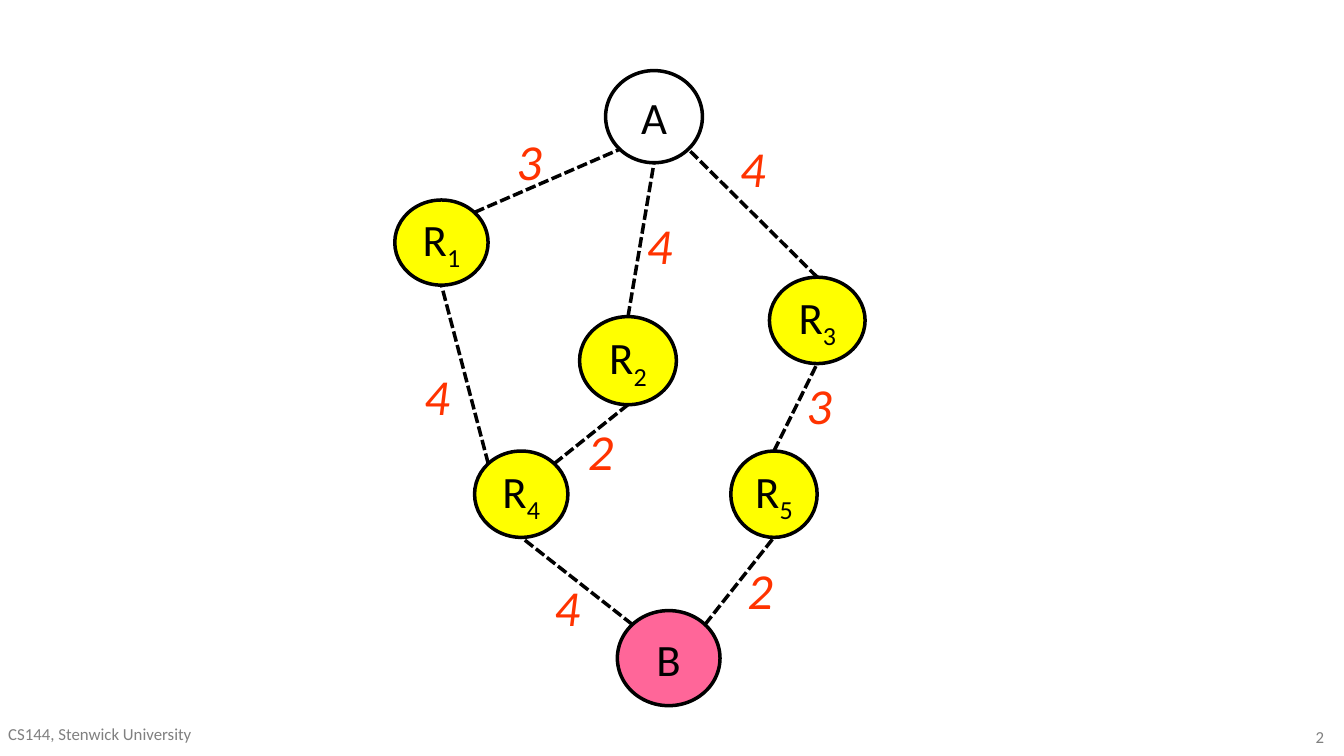
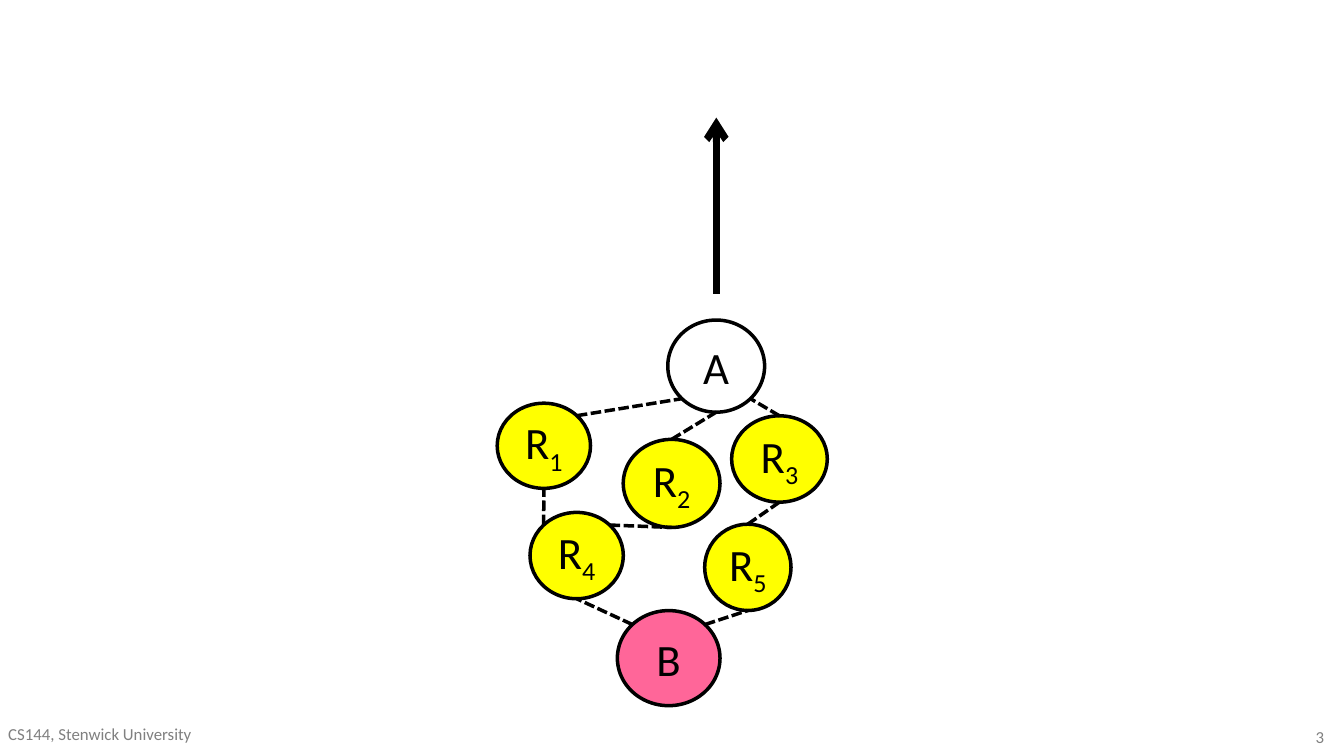
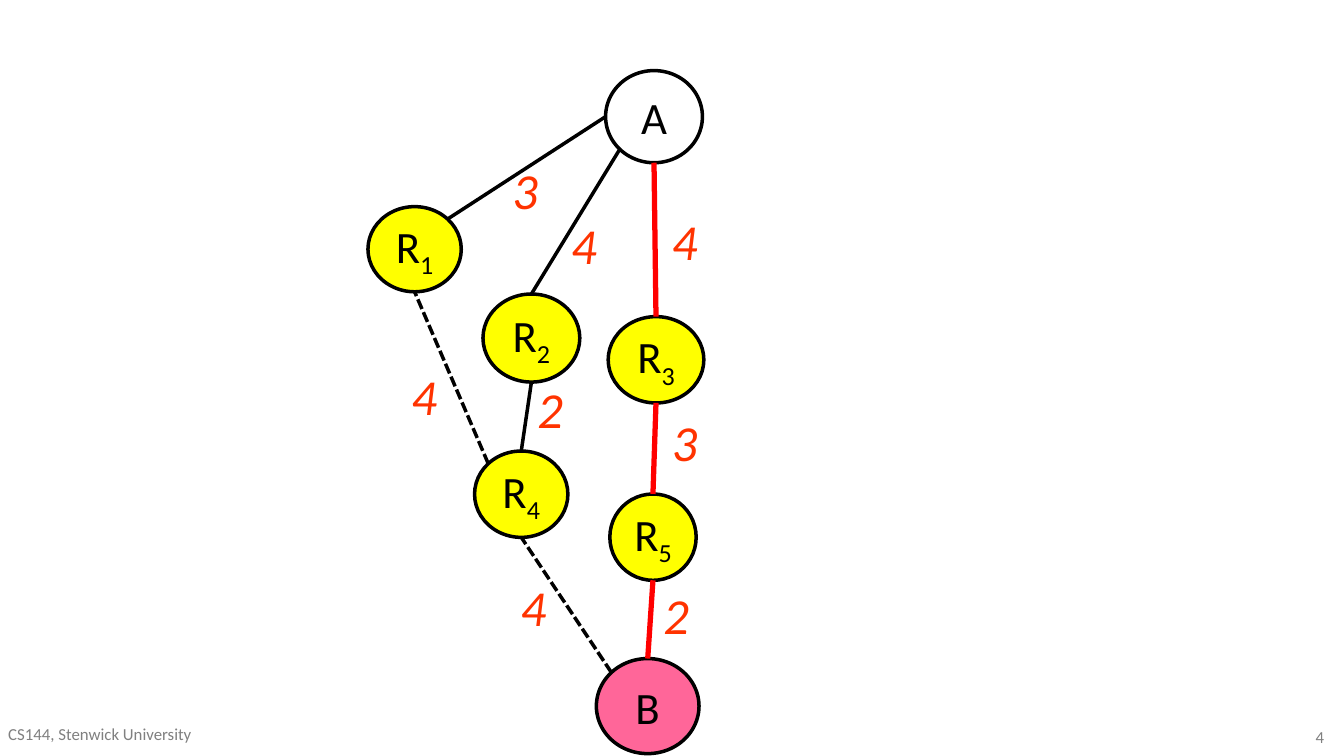
"""Build three slides on a router graph and its shortest path tree."""
from dataclasses import dataclass
from math import cos, radians, sin

from lxml.etree import SubElement
from pptx import Presentation
from pptx.dml.color import RGBColor
from pptx.enum.dml import MSO_LINE
from pptx.enum.shapes import MSO_CONNECTOR, MSO_SHAPE
from pptx.enum.text import MSO_ANCHOR, PP_ALIGN
from pptx.oxml.ns import qn
from pptx.util import Pt


@dataclass(frozen=True)
class Theme:
    """Colours, font and type sizes."""
    font: str = "Calibri"
    ink: str = "000000"
    host: str = "FFFFFF"
    router: str = "FFFF00"
    goal: str = "FF6699"
    cost: str = "FF3300"
    best: str = "FF0000"
    grey: str = "808080"
    node: float = 38.4
    label: float = 43.2
    foot: float = 14.4


LOOK = Theme()
WIDE, HIGH = 1152, 648
FOOTER = "CS144, Stenwick University"

TOP, TOP_LEFT, LEFT, LOW_LEFT, LOW, LOW_RIGHT, RIGHT, TOP_RIGHT = range(8)

NODES = {
    "B": (88, 81.5, LOOK.goal),
    "R5": (74, 74, LOOK.router),
    "R4": (80, 74, LOOK.router),
    "R1": (80, 73, LOOK.router),
    "A": (83, 79, LOOK.host),
    "R2": (83, 75.5, LOOK.router),
    "R3": (82, 74, LOOK.router),
}

LINKS = [
    ("R1", "A", "3", 46.8),
    ("R2", "A", "4", 36.8),
    ("R3", "A", "4", 36.8),
    ("R4", "R1", "4", 46.8),
    ("R4", "R2", "2", 46.8),
    ("R5", "R3", "3", 46.8),
    ("B", "R5", "2", 36.8),
    ("B", "R4", "4", 46.8),
]

STYLES = {
    "loose": (LOOK.ink, 3, MSO_LINE.SQUARE_DOT),
    "tight": (LOOK.ink, 3, None),
    "best": (LOOK.best, 4.5, None),
    "pull": (LOOK.ink, 6, None),
}

SLACK = [
    (TOP_RIGHT, LOW_LEFT, "loose"),
    (TOP, LOW, "loose"),
    (TOP, LOW_RIGHT, "loose"),
    (TOP_LEFT, LOW, "loose"),
    (TOP_RIGHT, LOW, "loose"),
    (TOP, LOW, "loose"),
    (TOP_RIGHT, LOW, "loose"),
    (TOP_LEFT, LOW, "loose"),
]

TAUT = [
    (TOP_RIGHT, LEFT, "tight"),
    (TOP, LOW_LEFT, "tight"),
    (TOP, LOW, "best"),
    (TOP_LEFT, LOW, "loose"),
    (TOP, LOW, "tight"),
    (TOP, LOW, "best"),
    (TOP, LOW, "best"),
    (TOP_LEFT, LOW, "loose"),
]

SLIDES = [
    {
        "page": "2",
        "spots": {"B": (529.2, 523.4), "R5": (626.4, 386.6),
                  "R4": (406.8, 386.6), "R1": (338.4, 171.4),
                  "A": (519.1, 60.5), "R2": (496.8, 271.4),
                  "R3": (659.5, 237.6)},
        "ports": SLACK,
        "costs": [(435.6, 108), (547.2, 180), (627.1, 113.8),
                  (356.4, 309.6), (496.8, 356.4), (684, 316.8),
                  (633.6, 475.9), (468, 490.3)],
        "arrows": [],
    },
    {
        "page": "3",
        "spots": {"B": (529.2, 523.4), "R5": (604, 449.3),
                  "R4": (454.3, 439.2), "R1": (426.2, 345.6),
                  "A": (572.4, 274.3), "R2": (534.2, 376.6),
                  "R3": (627.1, 356.4)},
        "ports": SLACK,
        "costs": [],
        "arrows": [((614, 252), (614, 100.8))],
    },
    {
        "page": "4",
        "spots": {"B": (511.2, 564.5), "R5": (522.7, 423.4),
                  "R4": (406.8, 386.6), "R1": (315.4, 177.1),
                  "A": (519.1, 60.5), "R2": (414, 252),
                  "R3": (521.3, 271.4)},
        "ports": TAUT,
        "costs": [(432, 133.2), (482.4, 180), (568.8, 176.4),
                  (345.6, 309.6), (453.6, 320.4), (568.8, 349.2),
                  (561.6, 496.8), (439.2, 490.3)],
        "arrows": [],
    },
]


def apply(item, values):
    """Set each named value on an object."""
    for name, value in values.items():
        setattr(item, name, value)


def write(shape, parts, size, color, frame, align=PP_ALIGN.LEFT, italic=False):
    """Fill a shape with one paragraph; parts after the first are subscripts."""
    apply(shape.text_frame, frame)
    para = shape.text_frame.paragraphs[0]
    para.alignment = align
    for place, part in enumerate(parts):
        run = para.add_run()
        run.text = part
        apply(run.font, {"name": LOOK.font, "size": Pt(size), "italic": italic})
        run.font.color.rgb = RGBColor.from_string(color)
        if place:
            run._r.get_or_add_rPr().set("baseline", "-25000")


def add_text(slide, box, text, size, color, wrap=True, **style):
    """Add a text box at left, top, width, height."""
    shape = slide.shapes.add_textbox(*map(Pt, box))
    write(shape, [text], size, color, {"word_wrap": wrap}, **style)


def add_node(slide, name, spot):
    """Add a round node with its name."""
    wide, high, fill = NODES[name]
    node = slide.shapes.add_shape(MSO_SHAPE.OVAL, *map(Pt, (*spot, wide, high)))
    node.shadow.inherit = False
    node.fill.solid()
    node.fill.fore_color.rgb = RGBColor.from_string(fill)
    node.line.color.rgb = RGBColor.from_string(LOOK.ink)
    node.line.width = Pt(3)
    parts = [part for part in (name[:1], name[1:]) if part]
    write(node, parts, LOOK.node, LOOK.ink,
          {"word_wrap": False, "vertical_anchor": MSO_ANCHOR.MIDDLE},
          PP_ALIGN.CENTER)
    return node


def find_port(node, port):
    """Return the point of a port, counted by eighths from the top."""
    turn = radians(90 + 45 * port)
    x = node.left + node.width / 2 * (1 + cos(turn))
    y = node.top + node.height / 2 * (1 - sin(turn))
    return x / Pt(1), y / Pt(1)


def add_line(slide, start, end, style):
    """Add a straight line in a named style."""
    color, width, dash = STYLES[style]
    line = slide.shapes.add_connector(
        MSO_CONNECTOR.STRAIGHT, *map(Pt, (*start, *end)))
    line.line.color.rgb = RGBColor.from_string(color)
    apply(line.line, {"width": Pt(width), "dash_style": dash})
    SubElement(line._element.spPr, qn("a:effectLst"))
    return line


def add_link(slide, ends, ports, style):
    """Join two nodes at the given ports."""
    line = add_line(slide, *map(find_port, ends, ports), style)
    glue = line._element.nvCxnSpPr.cNvCxnSpPr
    for tag, node, port in zip(("a:stCxn", "a:endCxn"), ends, ports):
        SubElement(glue, qn(tag), id=str(node.shape_id), idx=str(port))


def add_arrow(slide, start, end):
    """Add a thick arrow."""
    line = add_line(slide, start, end, "pull")
    SubElement(line.line._get_or_add_ln(), qn("a:tailEnd"), type="arrow")


def add_slide(deck, data):
    """Add one slide with its graph, costs and footer."""
    slide = deck.slides.add_slide(deck.slide_layouts[6])
    add_text(slide, (902, 619, 240, 43), data["page"], LOOK.foot, LOOK.grey,
             align=PP_ALIGN.RIGHT)
    nodes = {name: add_node(slide, name, spot)
             for name, spot in data["spots"].items()}
    for (low, high, *_), (*ports, style) in zip(LINKS, data["ports"]):
        add_link(slide, (nodes[low], nodes[high]), ports, style)
    for (*_, cost, wide), spot in zip(LINKS, data["costs"]):
        add_text(slide, (*spot, wide, 60), cost, LOOK.label, LOOK.cost,
                 wrap=False, italic=True)
    for start, end in data["arrows"]:
        add_arrow(slide, start, end)
    add_text(slide, (0, 617, 365, 30), FOOTER, LOOK.foot, LOOK.grey)


def main():
    """Build and save the deck."""
    deck = Presentation()
    apply(deck, {"slide_width": Pt(WIDE), "slide_height": Pt(HIGH)})
    for data in SLIDES:
        add_slide(deck, data)
    deck.save("out.pptx")


if __name__ == "__main__":
    main()
